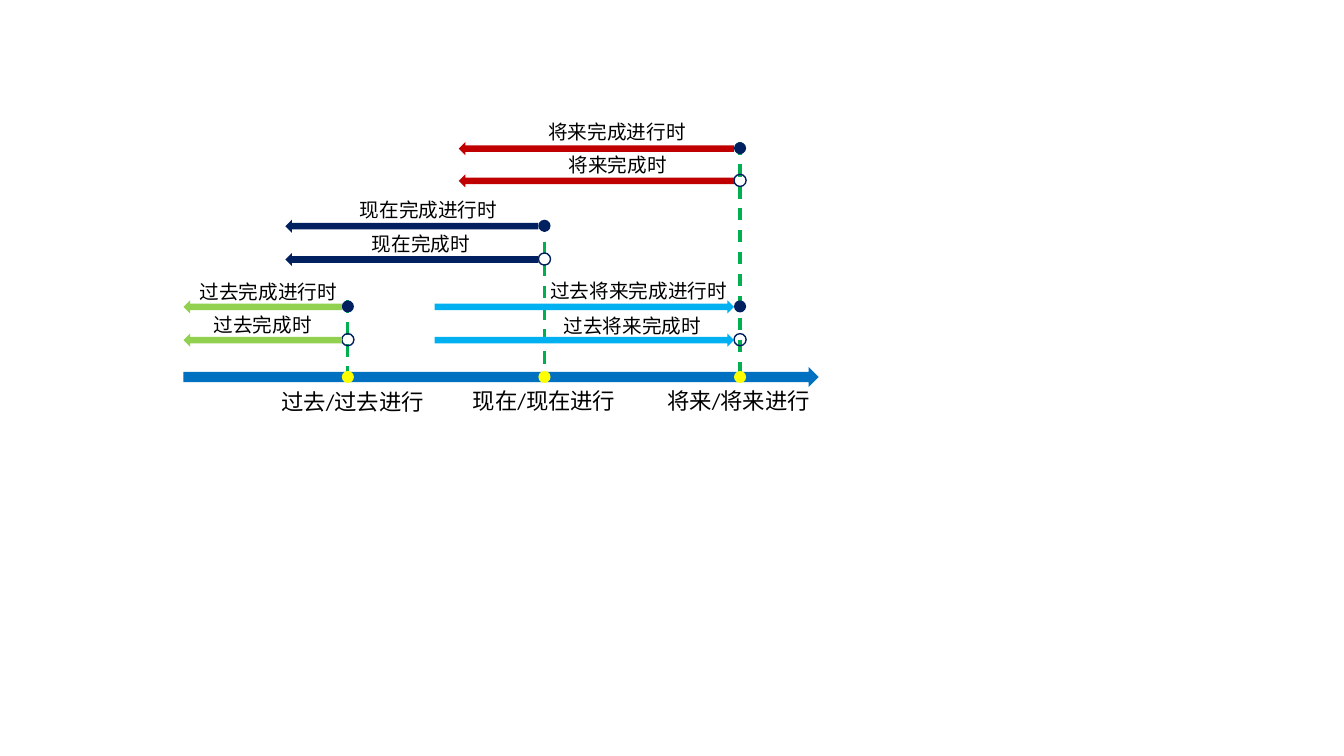
from dataclasses import dataclass

from lxml.etree import SubElement
from pptx import Presentation
from pptx.dml.color import RGBColor
from pptx.enum.dml import MSO_LINE as Dash
from pptx.enum.shapes import MSO_CONNECTOR as Connector, MSO_SHAPE as Preset
from pptx.enum.text import MSO_AUTO_SIZE as AutoSize
from pptx.oxml.ns import qn
from pptx.shapes.autoshape import Shape
from pptx.slide import Slide
from pptx.util import Emu, Pt

EMU_PER_PX = 9144
DOT = 12
ARROW_HEIGHT = 13
AXIS_LEFT, AXIS_TOP, AXIS_WIDTH, AXIS_HEIGHT = 182, 364, 630, 20
GUIDE_BOTTOM = 377
AXIS_DOT_TOP = 368

BLACK = RGBColor(0x00, 0x00, 0x00)
BLUE = RGBColor(0x00, 0x70, 0xC0)
SKY = RGBColor(0x00, 0xB0, 0xF0)
NAVY = RGBColor(0x00, 0x20, 0x60)
RED = RGBColor(0xC0, 0x00, 0x00)
LIME = RGBColor(0x92, 0xD0, 0x50)
GREEN = RGBColor(0x00, 0xB0, 0x50)
YELLOW = RGBColor(0xFF, 0xFF, 0x00)


@dataclass(frozen=True)
class Moment:
    label: str
    label_left: int
    label_top: int
    center: int
    guide_top: int


@dataclass(frozen=True)
class Tense:
    label: str
    label_left: int
    label_top: int
    moment: Moment
    start: int
    top: int
    color: RGBColor
    arrow: Preset
    ongoing: bool


PAST = Moment("过去/过去进行", 269, 380, 345, 298)
PRESENT = Moment("现在/现在进行", 459, 379, 540, 218)
FUTURE = Moment("将来/将来进行", 652, 379, 734, 141)
MOMENTS = (PAST, PRESENT, FUTURE)

BACK, AHEAD = Preset.LEFT_ARROW, Preset.RIGHT_ARROW
TENSES = (
    Tense("过去完成时", 202, 306, PAST, 182, 331, LIME, BACK, False),
    Tense("过去完成进行时", 188, 273, PAST, 182, 298, LIME, BACK, True),
    Tense("现在完成时", 359, 225, PRESENT, 283, 251, NAVY, BACK, False),
    Tense("现在完成进行时", 347, 191, PRESENT, 283, 218, NAVY, BACK, True),
    Tense("将来完成时", 554, 147, FUTURE, 455, 173, RED, BACK, False),
    Tense("将来完成进行时", 534, 114, FUTURE, 455, 141, RED, BACK, True),
    Tense("过去将来完成时", 549, 307, FUTURE, 431, 331, SKY, AHEAD, False),
    Tense("过去将来完成进行时", 536, 272, FUTURE, 431, 298, SKY, AHEAD, True),
)


def px(length: int) -> Emu:
    return Emu(length * EMU_PER_PX)


def add_filled(slide: Slide, preset: Preset, left: int, top: int,
               width: int, height: int, color: RGBColor) -> Shape:
    figure = slide.shapes.add_shape(preset, px(left), px(top), px(width), px(height))
    figure.shadow.inherit = False
    figure.fill.solid()
    figure.fill.fore_color.rgb = color
    figure.line.fill.background()
    return figure


def add_dot(slide: Slide, center: int, top: int, color: RGBColor,
            hollow: bool = False) -> None:
    dot = add_filled(slide, Preset.OVAL, center - DOT // 2, top, DOT, DOT, color)
    if hollow:
        dot.fill.background()
        dot.line.color.rgb = color
        dot.line.width = Pt(1)


def add_label(slide: Slide, text: str, left: int, top: int,
              width: int, height: int, size: int) -> None:
    frame = slide.shapes.add_textbox(px(left), px(top), px(width), px(height)).text_frame
    for name, value in {"word_wrap": False, "auto_size": AutoSize.SHAPE_TO_FIT_TEXT}.items():
        setattr(frame, name, value)
    run = frame.paragraphs[0].add_run()
    run.text = text
    for name, value in {"name": "Calibri", "size": Pt(size)}.items():
        setattr(run.font, name, value)
    run.font.color.rgb = BLACK


def add_guide(slide: Slide, moment: Moment) -> None:
    guide = slide.shapes.add_connector(
        Connector.STRAIGHT, px(moment.center), px(moment.guide_top),
        px(moment.center), px(GUIDE_BOTTOM))
    guide.line.color.rgb = GREEN
    for name, value in {"width": Pt(2.25), "dash_style": Dash.DASH}.items():
        setattr(guide.line, name, value)
    SubElement(guide._element.spPr, qn("a:effectLst"))


def add_moment(slide: Slide, moment: Moment) -> None:
    add_guide(slide, moment)
    add_dot(slide, moment.center, AXIS_DOT_TOP, YELLOW)
    add_label(slide, moment.label, moment.label_left, moment.label_top, 163, 37, 16)


def add_tense(slide: Slide, tense: Tense) -> None:
    center = tense.moment.center
    add_dot(slide, center, tense.top, NAVY, hollow=not tense.ongoing)
    add_filled(slide, tense.arrow, tense.start, tense.top,
               center - DOT // 2 - tense.start, ARROW_HEIGHT, tense.color)
    label_width = 18 + 20 * len(tense.label)
    add_label(slide, tense.label, tense.label_left, tense.label_top, label_width, 34, 14)


def main() -> None:
    deck = Presentation()
    deck.slide_width, deck.slide_height = px(1333), px(750)
    slide = deck.slides.add_slide(deck.slide_layouts[6])
    add_filled(slide, Preset.RIGHT_ARROW, AXIS_LEFT, AXIS_TOP, AXIS_WIDTH, AXIS_HEIGHT, BLUE)
    for moment in MOMENTS:
        add_moment(slide, moment)
    for tense in TENSES:
        add_tense(slide, tense)
    deck.save("out.pptx")


if __name__ == "__main__":
    main()
